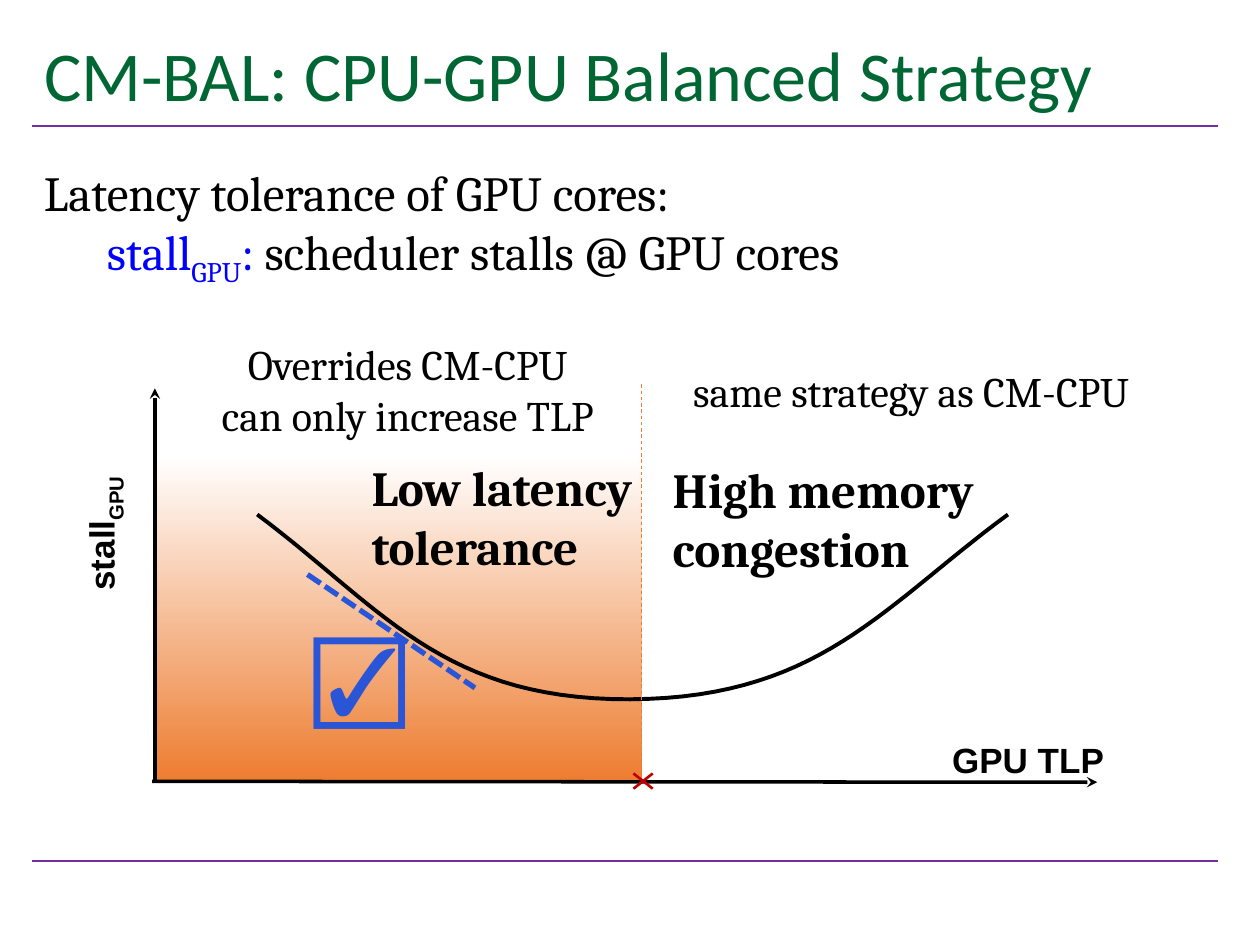
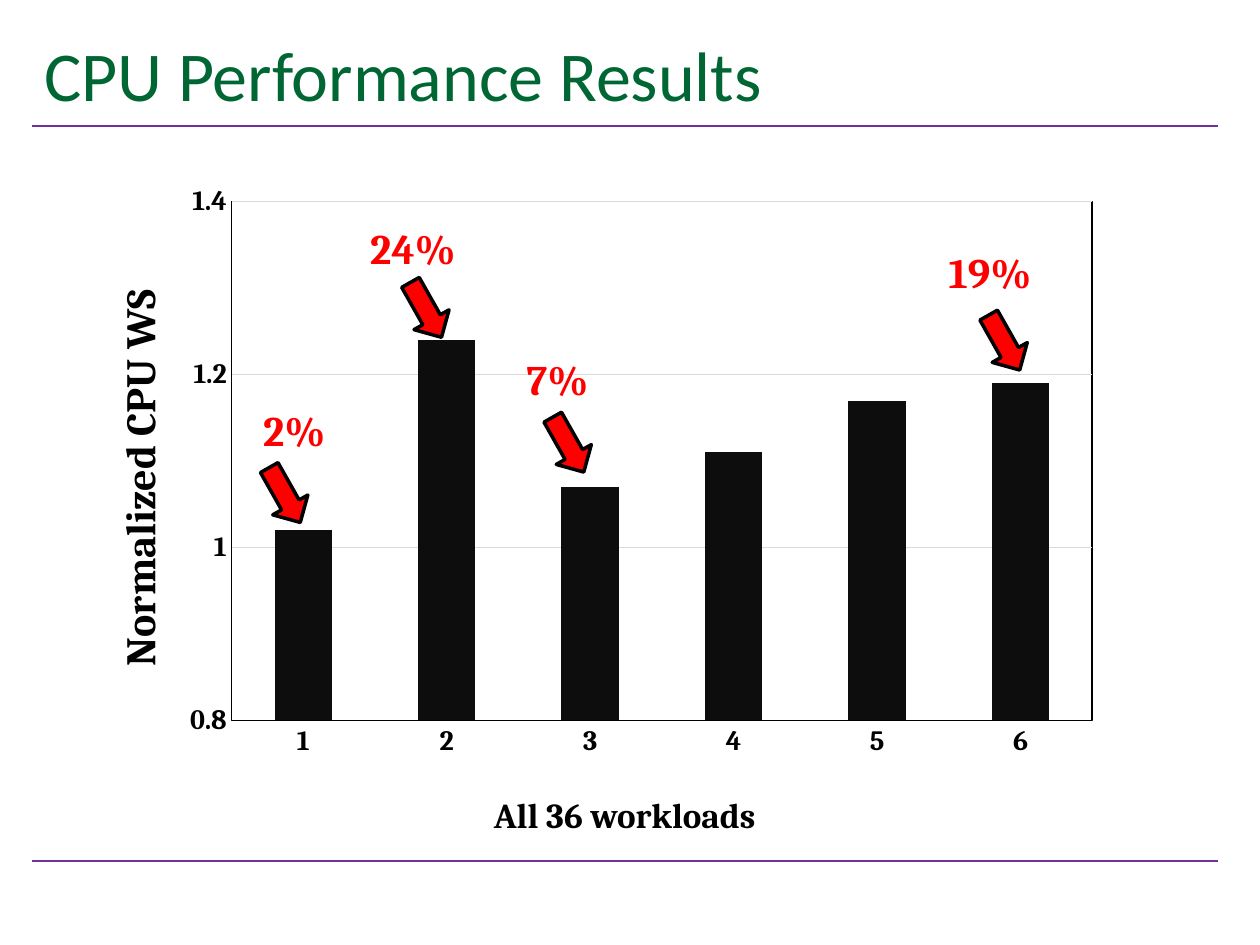
from lxml import etree
from pptx import Presentation
from pptx.chart.data import CategoryChartData
from pptx.dml.color import RGBColor
from pptx.enum.chart import XL_CHART_TYPE, XL_TICK_MARK
from pptx.enum.dml import MSO_LINE
from pptx.enum.shapes import MSO_CONNECTOR, MSO_SHAPE
from pptx.enum.text import MSO_ANCHOR, MSO_AUTO_SIZE, PP_ALIGN
from pptx.oxml import parse_xml
from pptx.oxml.ns import nsdecls, qn
from pptx.util import Pt

COLUMN = XL_CHART_TYPE.COLUMN_CLUSTERED
NO_TICK = XL_TICK_MARK.NONE
DASH, DOTS = MSO_LINE.DASH, MSO_LINE.SQUARE_DOT
STRAIGHT = MSO_CONNECTOR.STRAIGHT
RECT, ARROW = MSO_SHAPE.RECTANGLE, MSO_SHAPE.RIGHT_ARROW
MIDDLE = MSO_ANCHOR.MIDDLE
FIXED = MSO_AUTO_SIZE.NONE
LEFT, CENTER = PP_ALIGN.LEFT, PP_ALIGN.CENTER

COLORS = {
    "title": "006633", "rule": "7030A0", "text": "000000", "white": "FFFFFF",
    "term": "0000FF", "heat": "ED7D31", "cross": "C00000", "mark": "2A55D6",
    "bar": "0D0D0D", "grid": "D9D9D9", "gain": "FF0000",
}
HEAD, BODY, LABEL = "Calibri", "Cambria", "Arial"
MARGIN, WIDTH = 18, 678
TITLE_BOX = (MARGIN, 12, WIDTH, 60)
RULES = (72, 492)


def rgb(name):
    return RGBColor.from_string(COLORS[name])


def style(font, size, color="text", name=BODY, bold=False):
    font.size, font.name, font.bold = Pt(size), name, bold
    font.color.rgb = rgb(color)


def stroke(line, color, width):
    line.color.rgb = rgb(color)
    line.width = Pt(width)


def add_line(slide, start, end, color, width, dash=None, tip=None):
    """Draw a line; tip is "headEnd" or "tailEnd" for an arrowhead."""
    item = slide.shapes.add_connector(STRAIGHT, *map(Pt, start + end))
    stroke(item.line, color, width)
    if dash:
        item.line.dash_style = dash
    if tip:
        etree.SubElement(item.line._get_or_add_ln(), qn("a:" + tip), type="stealth")
    etree.SubElement(item._element.spPr, qn("a:effectLst"))


def add_text(slide, box, lines, size, color="text", name=BODY, bold=False,
             align=LEFT, wrap=True):
    item = slide.shapes.add_textbox(*map(Pt, box))
    frame = item.text_frame
    frame.word_wrap = wrap
    frame.text = "\n".join(lines)
    for para in frame.paragraphs:
        para.alignment = align
        style(para.font, size, color, name, bold)
    return item


def add_run(para, text, color=None, sub=False):
    run = para.add_run()
    run.text = text
    if color:
        run.font.color.rgb = rgb(color)
    if sub:
        run._r.get_or_add_rPr().set("baseline", "-25000")


def add_page(deck, title):
    slide = deck.slides.add_slide(deck.slide_layouts[5])
    for y in RULES:
        add_line(slide, (MARGIN, y), (MARGIN + WIDTH, y), "rule", 1.5)
    head = slide.shapes.title
    head.left, head.top, head.width, head.height = map(Pt, TITLE_BOX)
    frame = head.text_frame
    frame.text = title
    frame.auto_size, frame.vertical_anchor = FIXED, MIDDLE
    para = frame.paragraphs[0]
    para.alignment = LEFT
    style(para.font, 40, "title", HEAD)
    return slide


def add_intro(slide, box):
    item = add_text(slide, box, ["Latency tolerance of GPU cores:", ""], 28)
    para = item.text_frame.paragraphs[1]
    para._p.get_or_add_pPr().set("marL", str(Pt(36)))
    add_run(para, "stall", "term")
    add_run(para, "GPU", "term", sub=True)
    add_run(para, ": ", "term")
    add_run(para, "scheduler stalls @ GPU cores")


def bezier(a, b, c, d, steps=30):
    for i in range(1, steps + 1):
        t = i / steps
        u = 1 - t
        yield tuple(u**3 * p + 3 * u * u * t * q + 3 * u * t * t * r + t**3 * s
                    for p, q, r, s in zip(a, b, c, d))


def add_curve(slide, knots):
    """Draw a smooth open line through chained cubic segments."""
    dots = [dot for i in range(0, len(knots) - 1, 3)
            for dot in bezier(*knots[i:i + 4])]
    pen = slide.shapes.build_freeform(*map(Pt, knots[0]))
    pen.add_line_segments([(Pt(x), Pt(y)) for x, y in dots], close=False)
    item = pen.convert_to_shape()
    item.shadow.inherit = False
    item.fill.background()
    stroke(item.line, "text", 2.25)


def add_heat(slide, box):
    item = slide.shapes.add_shape(RECT, *map(Pt, box))
    item.shadow.inherit = False
    item.line.fill.background()
    item.fill.gradient()
    item.fill.gradient_angle = 90
    stops = zip(item.fill.gradient_stops, ("heat", "white"), (0, 0.74))
    for stop, color, place in stops:
        stop.color.rgb = rgb(color)
        stop.position = place


def add_graph(slide, box):
    left, top, wide, high = box
    mid = 278.5

    def at(x, y, *size):
        return (left + x, top + y) + size

    add_heat(slide, at(1, 5, mid - 0.5, high - 6))
    add_curve(slide, [at(*knot) for knot in (
        (59, 104), (130, 157), (164, 210), (272, 209.6),
        (380, 209), (416, 157), (488, 104))])
    add_line(slide, at(0.5, 32), at(0.5, high - 0.5), "text", 2, tip="headEnd")
    add_line(slide, at(-1, high - 0.5), at(wide, high), "text", 2, tip="tailEnd")
    add_line(slide, at(mid, 29.6), at(mid, high), "heat", 0.5, DASH)
    add_text(slide, at(449, 228.3, 102, 31.7), ["GPU TLP"], 20,
             name=LABEL, bold=True, wrap=False)
    side = add_text(slide, at(-72.2, 96.6, 84.2, 31.7), [""], 20,
                    name=LABEL, bold=True, wrap=False)
    side.rotation = 270
    para = side.text_frame.paragraphs[0]
    add_run(para, "stall")
    add_run(para, "GPU", sub=True)
    for y, end in ((252, 260.7), (260.7, 252)):
        add_line(slide, at(274, y), at(285, end), "cross", 1.5)
    add_text(slide, at(289.3, 69.2, 221.8, 75), ["High memory congestion"], 28, bold=True)
    add_text(slide, at(117.2, 67.8, 221.8, 75), ["Low latency tolerance"], 28, bold=True)
    add_text(slide, at(293.6, 15.2, 278, 36), ["same strategy as CM-CPU"], 24,
             align=CENTER)
    add_line(slide, at(87.7, 138.3), at(183.4, 203.1), "mark", 3, DOTS)
    check = add_text(slide, at(90.6, 162, 48.2, 65.5), ["☑"], 54, "mark")
    frame = check.text_frame
    frame.margin_left = frame.margin_right = frame.margin_top = frame.margin_bottom = 0
    add_text(slide, at(15.7, 0, 258.5, 65.5),
             ["Overrides CM-CPU", "can only increase TLP"], 24, align=CENTER)


def layout(x, y, size=None):
    """Build a manual chart layout from fractions of the chart area."""
    parts = {"xMode": "edge", "yMode": "edge", "x": x, "y": y}
    if size:
        parts = {"layoutTarget": "inner", **parts, "w": size[0], "h": size[1]}
    body = "".join(f'<c:{key} val="{val}"/>' for key, val in parts.items())
    return parse_xml(f'<c:layout {nsdecls("c")}><c:manualLayout>{body}'
                     "</c:manualLayout></c:layout>")


def set_layout(node, new):
    old = node.find(qn("c:layout"))
    if old is not None:
        node.remove(old)
    text = node.find(qn("c:tx"))
    node.insert(0 if text is None else 1, new)


def add_bars(slide, box):
    data = CategoryChartData()
    data.categories = ["1", "2", "3", "4", "5", "6"]
    data.add_series("Series 1", (1.02, 1.24, 1.07, 1.11, 1.17, 1.19))
    chart = slide.shapes.add_chart(COLUMN, *map(Pt, box), data).chart
    chart.has_legend = chart.has_title = False
    style(chart.font, 16, bold=True)
    plot = chart.plots[0]
    plot.gap_width, plot.vary_by_categories = 150, False
    fill = plot.series[0].format.fill
    fill.solid()
    fill.fore_color.rgb = rgb("bar")

    cats, vals = chart.category_axis, chart.value_axis
    for axis in (cats, vals):
        axis.major_tick_mark = axis.minor_tick_mark = NO_TICK
        style(axis.tick_labels.font, 16, bold=True)
    stroke(cats.format.line, "text", 0.75)
    vals.format.line.fill.background()
    vals.minimum_scale, vals.maximum_scale, vals.major_unit = 0.8, 1.4, 0.2
    vals.tick_labels.number_format = "General"
    vals.tick_labels.number_format_is_linked = False
    stroke(vals.major_gridlines.format.line, "grid", 0.75)

    name = vals.axis_title
    name.text_frame.text = "Normalized CPU WS"
    style(name.text_frame.paragraphs[0].font, 24, bold=True)
    turn = name.text_frame._txBody.bodyPr
    turn.set("rot", "-5400000")
    turn.set("vert", "horz")
    set_layout(name._element, layout(0.03, 0.18))

    area = chart._chartSpace.chart.plotArea
    set_layout(area, layout(0.152, 0.045, (0.828, 0.872)))
    area.append(parse_xml(
        f'<c:spPr {nsdecls("c", "a")}><a:noFill/><a:ln w="{Pt(0.75)}"><a:solidFill>'
        f'<a:srgbClr val="{COLORS["text"]}"/></a:solidFill></a:ln></c:spPr>'))


def add_gain(slide, text, label, tip):
    item = slide.shapes.add_shape(ARROW, *map(Pt, tip + (36, 23)))
    item.rotation = 60.5
    item.shadow.inherit = False
    item.fill.solid()
    item.fill.fore_color.rgb = rgb("gain")
    stroke(item.line, "text", 2)
    add_text(slide, label + (78, 36), [text], 24, "gain", bold=True)


def add_results(slide, box):
    left, top = box[:2]
    add_bars(slide, box)
    gains = (
        ("24%", (162.5, 23.8), (183.4, 65.6)),
        ("7%", (251.8, 98.7), (264.7, 142.6)),
        ("2%", (101.3, 127.5), (102.7, 171.4)),
        ("19%", (493, 37.5), (513.8, 84.3)),
    )
    for text, *spots in gains:
        add_gain(slide, text, *((left + x, top + y) for x, y in spots))
    add_text(slide, (left + 102, top + 350, 426, 31.7), ["All 36 workloads"],
             20, bold=True, align=CENTER)


def main():
    deck = Presentation()
    deck.slide_width, deck.slide_height = Pt(720), Pt(540)
    slide = add_page(deck, "CM-BAL: CPU-GPU Balanced Strategy")
    add_intro(slide, (MARGIN, 89.3, WIDTH, 75))
    add_graph(slide, (88, 190, 539, 257))
    slide = add_page(deck, "CPU Performance Results")
    add_results(slide, (42, 100, 594, 340))
    deck.save("out.pptx")


if __name__ == "__main__":
    main()
